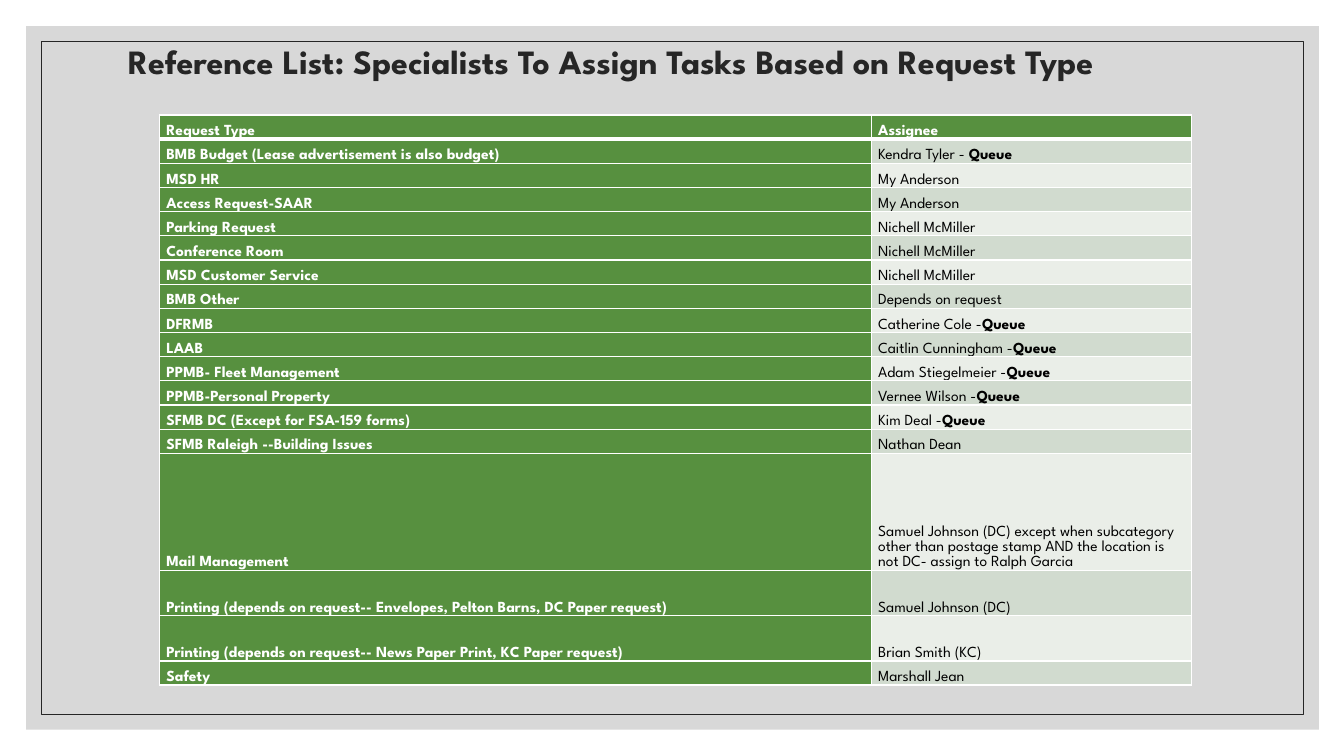
import pptx
import pptx.dml.color
import pptx.enum.shapes
import pptx.enum.text
import pptx.oxml
import pptx.oxml.ns
import pptx.util
from pptx.util import Inches

COLORS = {"panel": "BFBFBF", "ink": "262626", "green": "57903F", "white": "FFFFFF",
          "black": "000000", "dark_band": "D1DBCF", "light_band": "EAEEE8"}
FONT = "League Spartan"
QUEUE = "Queue"
HEADER = ("Request Type", "Assignee")
ASSIGNMENTS = [
    ("BMB Budget (Lease advertisement is also budget)", "Kendra Tyler - ", QUEUE),
    ("MSD HR", "My Anderson"),
    ("Access Request-SAAR", "My Anderson"),
    ("Parking Request", "Nichell McMiller"),
    ("Conference Room", "Nichell McMiller"),
    ("MSD Customer Service", "Nichell McMiller"),
    ("BMB Other", "Depends on request"),
    ("DFRMB", "Catherine Cole -", QUEUE),
    ("LAAB", "Caitlin Cunningham -", QUEUE),
    ("PPMB- Fleet Management", "Adam Stiegelmeier -", QUEUE),
    ("PPMB-Personal Property", "Vernee Wilson -", QUEUE),
    ("SFMB DC (Except for FSA-159 forms)", "Kim Deal -", QUEUE),
    ("SFMB Raleigh --Building Issues", "Nathan Dean"),
    ("Mail Management", "Samuel Johnson (DC) except when subcategory other than postage stamp "
                        "AND the location is not DC- assign to Ralph Garcia"),
    ("Printing (depends on request-- Envelopes, Pelton Barns, DC Paper request)",
     "Samuel Johnson (DC)"),
    ("Printing (depends on request-- News Paper Print, KC Paper request)", "Brian Smith (KC)"),
    ("Safety", "Marshall Jean"),
]
ROW_HEIGHT = 0.24
TALL_ROWS = {14: 1.16, 15: 0.45, 16: 0.45}


class ReferencePage:
    """Draws styled elements on one slide."""

    def __init__(self, deck):
        self.page = deck.slides.add_slide(deck.slide_layouts[5])

    def color(self, name):
        return pptx.dml.color.RGBColor.from_string(COLORS[name])

    def span(self, para, text, size, color, bold):
        span = para.add_run()
        span.text = text
        span.font.name = FONT
        span.font.size = pptx.util.Pt(size)
        span.font.bold = bold
        span.font.color.rgb = self.color(color)

    def box(self, left, top, width, height, fill=None, alpha=100, line=None):
        box = self.page.shapes.add_shape(
            pptx.enum.shapes.MSO_SHAPE.RECTANGLE,
            Inches(left), Inches(top), Inches(width), Inches(height))
        box.shadow.inherit = False
        if fill:
            box.fill.solid()
            box.fill.fore_color.rgb = self.color(fill)
            tint = box._element.spPr.find(".//" + pptx.oxml.ns.qn("a:srgbClr"))
            tint.append(pptx.oxml.parse_xml(
                f'<a:alpha {pptx.oxml.ns.nsdecls("a")} val="{alpha * 1000}"/>'))
        else:
            box.fill.background()
        if line:
            box.line.color.rgb = self.color(line)
            box.line.width = pptx.util.Pt(0.5)
        else:
            box.line.fill.background()
        self.page.shapes.title._element.addprevious(box._element)

    def title(self, text, left, top, width, height):
        title = self.page.shapes.title
        title.left, title.top = Inches(left), Inches(top)
        title.width, title.height = Inches(width), Inches(height)
        frame = title.text_frame
        frame.word_wrap = True
        frame.auto_size = pptx.enum.text.MSO_AUTO_SIZE.NONE
        frame.vertical_anchor = pptx.enum.text.MSO_ANCHOR.TOP
        frame.margin_top = 0
        para = frame.paragraphs[0]
        para.alignment = pptx.enum.text.PP_ALIGN.LEFT
        para.line_spacing = 0.9
        self.span(para, text, 24.3, "ink", True)

    def borders(self, cell, bottom):
        properties = cell._tc.get_or_add_tcPr()
        for index, (side, points) in enumerate(
                [("L", 1), ("R", 1), ("T", 1), ("B", bottom)]):
            properties.insert(index, pptx.oxml.parse_xml(
                f'<a:ln{side} {pptx.oxml.ns.nsdecls("a")} w="{pptx.util.Pt(points)}">'
                f'<a:solidFill><a:srgbClr val="{COLORS["white"]}"/></a:solidFill></a:ln{side}>'))

    def cell(self, cell, texts, fill, color, bold, bottom=1):
        cell.fill.solid()
        cell.fill.fore_color.rgb = self.color(fill)
        cell.margin_left = cell.margin_right = Inches(0.07)
        cell.margin_top = cell.margin_bottom = 0
        cell.vertical_anchor = pptx.enum.text.MSO_ANCHOR.BOTTOM
        para = cell.text_frame.paragraphs[0]
        para.line_spacing = 1.07
        para.space_after = pptx.util.Pt(8)
        for text in texts:
            self.span(para, text, 11, color, bold or text == QUEUE)
        self.borders(cell, bottom)

    def table(self, left, top, widths):
        count = len(ASSIGNMENTS) + 1
        heights = [TALL_ROWS.get(index, ROW_HEIGHT) for index in range(count)]
        table = self.page.shapes.add_table(
            count, len(widths), Inches(left), Inches(top),
            Inches(sum(widths)), Inches(sum(heights))).table
        for column, width in zip(table.columns, widths):
            column.width = Inches(width)
        for row, height in zip(table.rows, heights):
            row.height = Inches(height)
        for index, label in enumerate(HEADER):
            self.cell(table.cell(0, index), [label], "green", "white", True, bottom=3)
        for index, (request, *assignee) in enumerate(ASSIGNMENTS, 1):
            band = "dark_band" if index % 2 else "light_band"
            self.cell(table.cell(index, 0), [request], "green", "white", True)
            self.cell(table.cell(index, 1), assignee, band, "black", False)


def main():
    deck = pptx.Presentation()
    deck.slide_width, deck.slide_height = Inches(13.33), Inches(7.5)
    page = ReferencePage(deck)
    page.box(0.26, 0.26, 12.82, 6.98, fill="panel", alpha=60)
    page.box(0.41, 0.41, 12.52, 6.68, line="ink")
    page.title("Reference List: Specialists To Assign Tasks Based on Request Type",
               1.17, 0.45, 11, 0.86)
    page.table(1.58, 1.14, [7.06, 3.18])
    deck.save("out.pptx")


if __name__ == "__main__":
    main()
